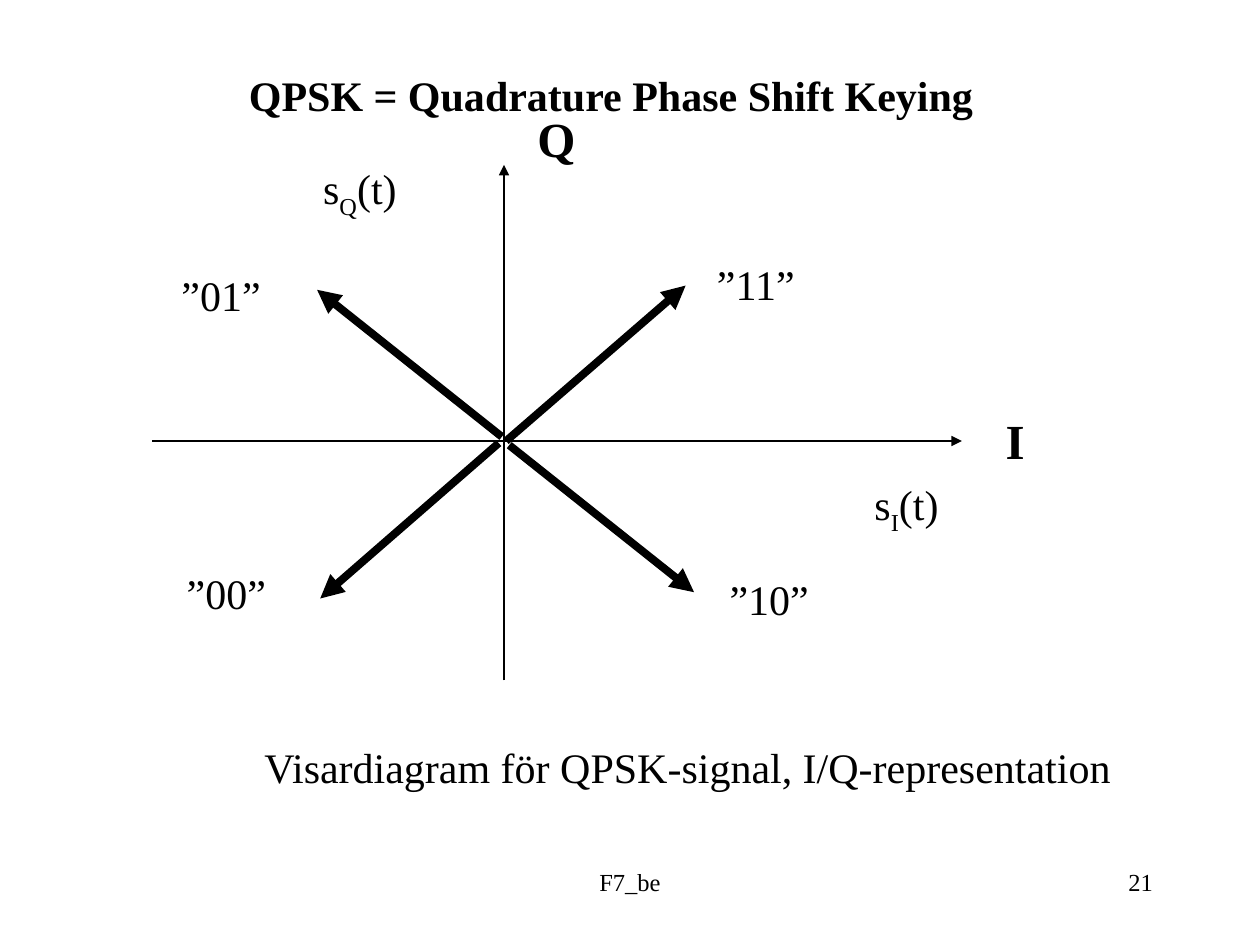
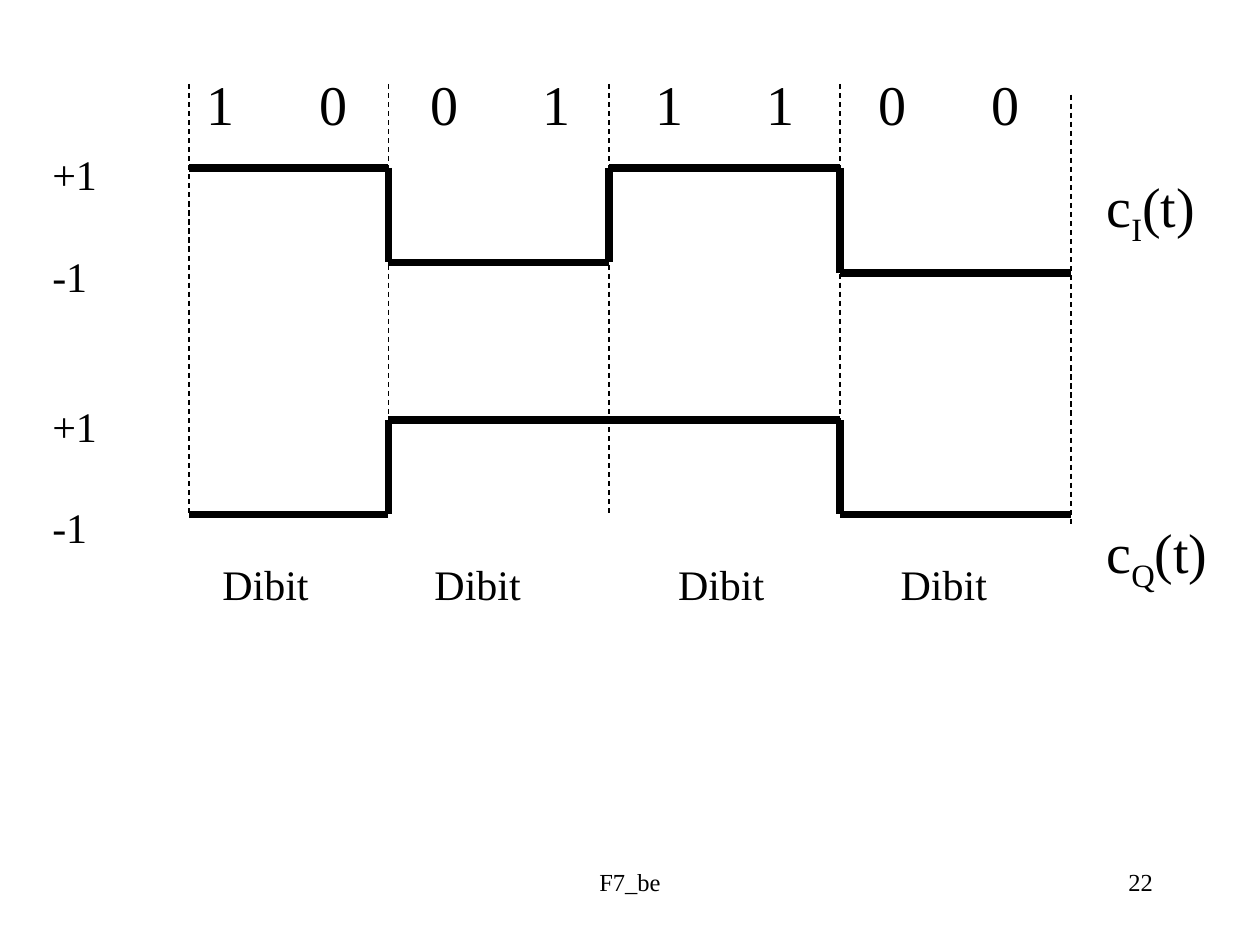
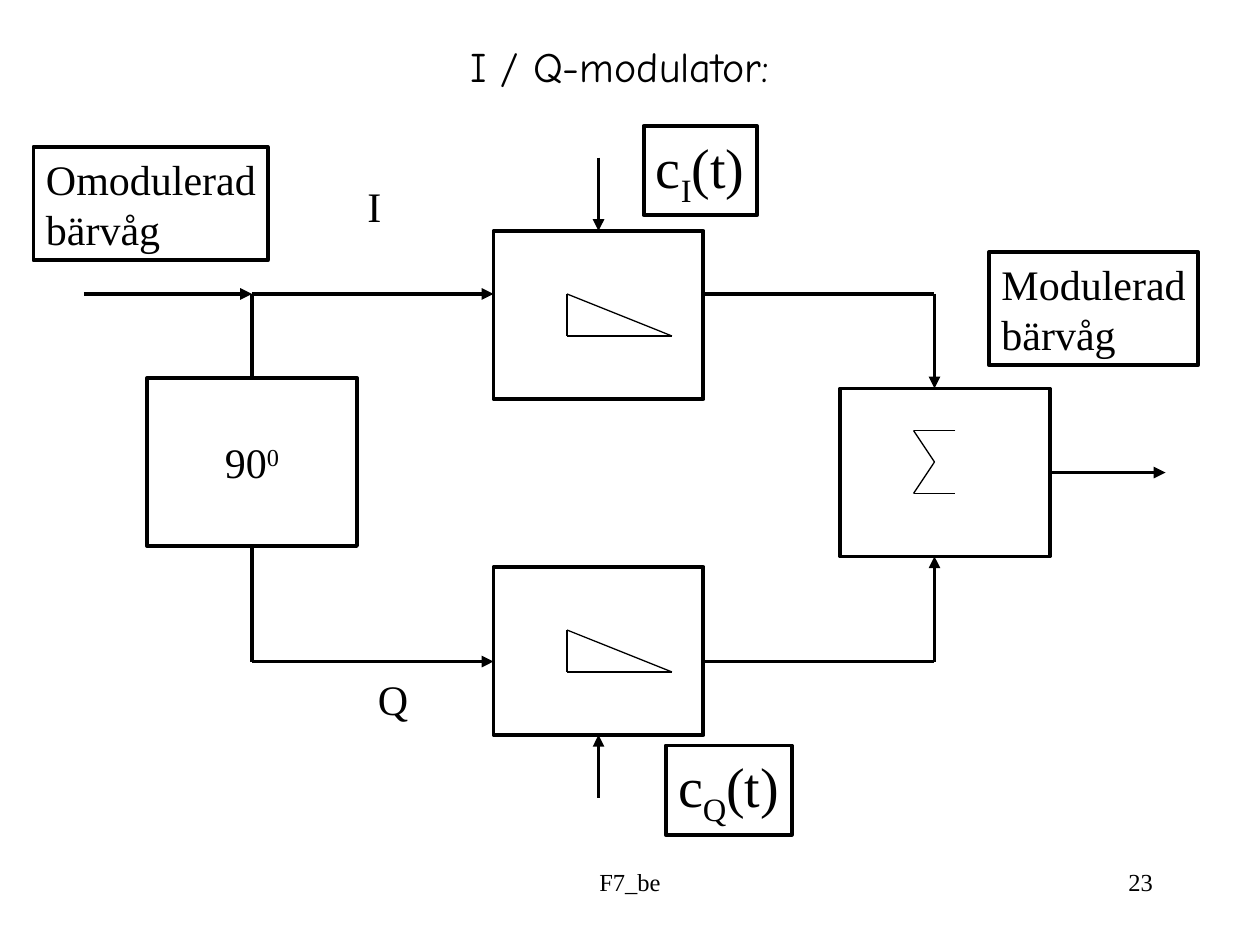
from itertools import pairwise

from lxml.etree import SubElement
from pptx import Presentation
from pptx.dml.color import RGBColor
from pptx.enum.dml import MSO_LINE
from pptx.enum.shapes import MSO_CONNECTOR, MSO_SHAPE
from pptx.enum.text import MSO_ANCHOR, MSO_AUTO_SIZE, PP_ALIGN
from pptx.oxml.ns import qn
from pptx.util import Pt

PX = 7620  # 120 px to the inch
BLACK = RGBColor(0, 0, 0)
WHITE = RGBColor(255, 255, 255)
SERIF = "Times New Roman"


def write(sp, at, text, size=24, bold=False, font=SERIF, align=PP_ALIGN.LEFT,
          anchor=MSO_ANCHOR.TOP, wrap=False, gaps=(), tabs=(), shift=-25):
    """Place a shape and fill it; text between bars is raised or lowered."""
    sp.left, sp.top, sp.width, sp.height = (v * PX for v in at)
    tf = sp.text_frame
    tf.word_wrap = wrap
    tf.auto_size = MSO_AUTO_SIZE.NONE
    tf.vertical_anchor = anchor
    for i, row in enumerate(text.split("\n")):
        p = tf.add_paragraph() if i else tf.paragraphs[0]
        if tabs:
            stops = SubElement(p._p.get_or_add_pPr(), qn("a:tabLst"))
            for pos in tabs:
                SubElement(stops, qn("a:tab"), pos=str(pos * PX), algn="l")
        p.alignment = align
        if i and gaps:
            p.space_before = Pt(gaps[i - 1])
        p.font.name, p.font.size, p.font.bold = font, Pt(size), bold
        p.font.color.rgb = BLACK
        for j, part in enumerate(row.split("|")):
            r = p.add_run()
            r.text = part
            if j % 2:
                r._r.get_or_add_rPr().set("baseline", str(shift * 1000))


def line(s, points, width=0.75, arrow=False, dash=False):
    """Join points by straight connectors, with an arrowhead at the last."""
    for a, b in pairwise(points):
        c = s.shapes.add_connector(MSO_CONNECTOR.STRAIGHT, *(v * PX for v in a + b))
        c.line.color.rgb = BLACK
        c.line.width = Pt(width)
        if dash:
            c.line.dash_style = MSO_LINE.DASH
        if arrow and b == points[-1]:
            SubElement(c.line._get_or_add_ln(), qn("a:tailEnd"), type="triangle")
        SubElement(c._element.spPr, qn("a:effectLst"))


prs = Presentation()
prs.slide_width, prs.slide_height = 1200 * PX, 900 * PX
TITLE_ONLY, BLANK = prs.slide_layouts[5], prs.slide_layouts[6]

# Slide 1: phasor diagram
s = prs.slides.add_slide(TITLE_ONLY)
write(s.shapes.title, (225, 60, 740, 60), "QPSK = Quadrature Phase Shift Keying", bold=True)
line(s, [(145, 420), (916, 420)], arrow=True)
line(s, [(480, 648), (480, 157)], arrow=True)

for at, name in [((500, 97, 60, 68), "Q"), ((946, 385, 42, 68), "I")]:
    write(s.shapes.add_textbox(0, 0, 0, 0), at, name, 28, bold=True)
for at, label in [
    ((821, 450, 85, 67), "s|I|(t)"),
    ((296, 149, 94, 67), "s|Q|(t)"),
    ((240, 700, 833, 60), "Visardiagram för QPSK-signal, I/Q-representation"),
    ((671, 240, 100, 60), "”11”"),
    ((166, 535, 100, 60), "”00”"),
    ((161, 251, 100, 60), "”01”"),
    ((683, 540, 100, 60), "”10”"),
]:
    write(s.shapes.add_textbox(0, 0, 0, 0), at, label)

for phasor in [
    [(482, 420), (653, 272)],
    [(475, 422), (305, 570)],
    [(478, 416), (302, 276)],
    [(485, 424), (661, 564)],
]:
    line(s, phasor, 4.5, arrow=True)

# Slide 2: dibits and their waveforms
s = prs.slides.add_slide(BLANK)
edges = [180, 370, 580, 800, 1020]
write(s.shapes.add_textbox(0, 0, 0, 0), (185, 60, 820, 77),
      "\t".join("10011100"), 32, wrap=True,
      tabs=[round(i * 320 / 3) for i in range(1, 8)])
for x in edges:
    top = 90 if x == edges[-1] else 80
    line(s, [(x, top), (x, top + 410)], dash=True)

write(s.shapes.add_textbox(0, 0, 0, 0), (38, 136, 66, 396),
      "+1\n-1\n+1\n-1", gaps=(29, 57, 29))
line(s, [(180, 160), (370, 160), (370, 250), (580, 250), (580, 160),
         (800, 160), (800, 260), (1020, 260)], 4.5)
line(s, [(180, 490), (370, 490), (370, 400), (800, 400), (800, 490), (1020, 490)], 4.5)
write(s.shapes.add_textbox(0, 0, 0, 0), (1042, 157, 120, 414),
      "c|I|(t)\nc|Q|(t)", 32, gaps=(154,))
write(s.shapes.add_textbox(0, 0, 0, 0), (200, 526, 763, 60),
      "\t".join(["Dibit"] * 4), wrap=True, tabs=(202, 434, 646))

# Slide 3: block diagram of the modulator
s = prs.slides.add_slide(TITLE_ONLY)
write(s.shapes.title, (436, 33, 360, 60), "I / Q-modulator:", font="Comic Neue")

for x, y, text in [(140, 360, "90|0|"), (470, 220, ""), (470, 540, ""), (800, 370, "")]:
    sp = s.shapes.add_shape(MSO_SHAPE.RECTANGLE, 0, 0, 0, 0)
    sp.shadow.inherit = False
    sp.fill.solid()
    sp.fill.fore_color.rgb = WHITE
    sp.line.color.rgb = BLACK
    sp.line.width = Pt(2.25)
    write(sp, (x, y, 200, 160), text, align=PP_ALIGN.CENTER,
          anchor=MSO_ANCHOR.MIDDLE, shift=30)

# Signal paths
line(s, [(240, 360), (240, 280), (470, 280)], 2.25, arrow=True)
line(s, [(80, 280), (240, 280)], 2.25, arrow=True)
line(s, [(240, 520), (240, 630), (470, 630)], 2.25, arrow=True)
line(s, [(670, 280), (890, 280), (890, 370)], 2.25, arrow=True)
line(s, [(670, 630), (890, 630), (890, 530)], 2.25, arrow=True)
line(s, [(1000, 450), (1110, 450)], 2.25, arrow=True)
line(s, [(570, 150), (570, 220)], 2.25, arrow=True)
line(s, [(570, 760), (570, 700)], 2.25, arrow=True)

# Multiplier and sum symbols
for y in (280, 600):
    line(s, [(540, y), (540, y + 40), (640, y + 40), (540, y)])
line(s, [(910, 410), (870, 410), (890, 440), (870, 470), (910, 470)])

# Framed signal names
for at, text, size in [
    ((613, 120, 108, 85), "c|I|(t)", 32),
    ((634, 710, 120, 85), "c|Q|(t)", 32),
    ((32, 140, 223, 108), "Omodulerad\nbärvåg", 24),
    ((942, 240, 199, 108), "Modulerad\nbärvåg", 24),
]:
    sp = s.shapes.add_shape(MSO_SHAPE.RECTANGLE, 0, 0, 0, 0)
    sp.shadow.inherit = False
    sp.fill.background()
    sp.line.color.rgb = BLACK
    sp.line.width = Pt(2.25)
    write(sp, at, text, size)
for at, branch in [((338, 166, 37, 60), "I"), ((348, 636, 53, 60), "Q")]:
    write(s.shapes.add_textbox(0, 0, 0, 0), at, branch)

# Footers
for number, s in enumerate(prs.slides, 21):
    write(s.shapes.add_textbox(0, 0, 0, 0), (410, 820, 380, 60), "F7_be", 14,
          align=PP_ALIGN.CENTER, wrap=True)
    write(s.shapes.add_textbox(0, 0, 0, 0), (860, 820, 250, 60), str(number), 14,
          align=PP_ALIGN.RIGHT, wrap=True)

prs.save("out.pptx")
